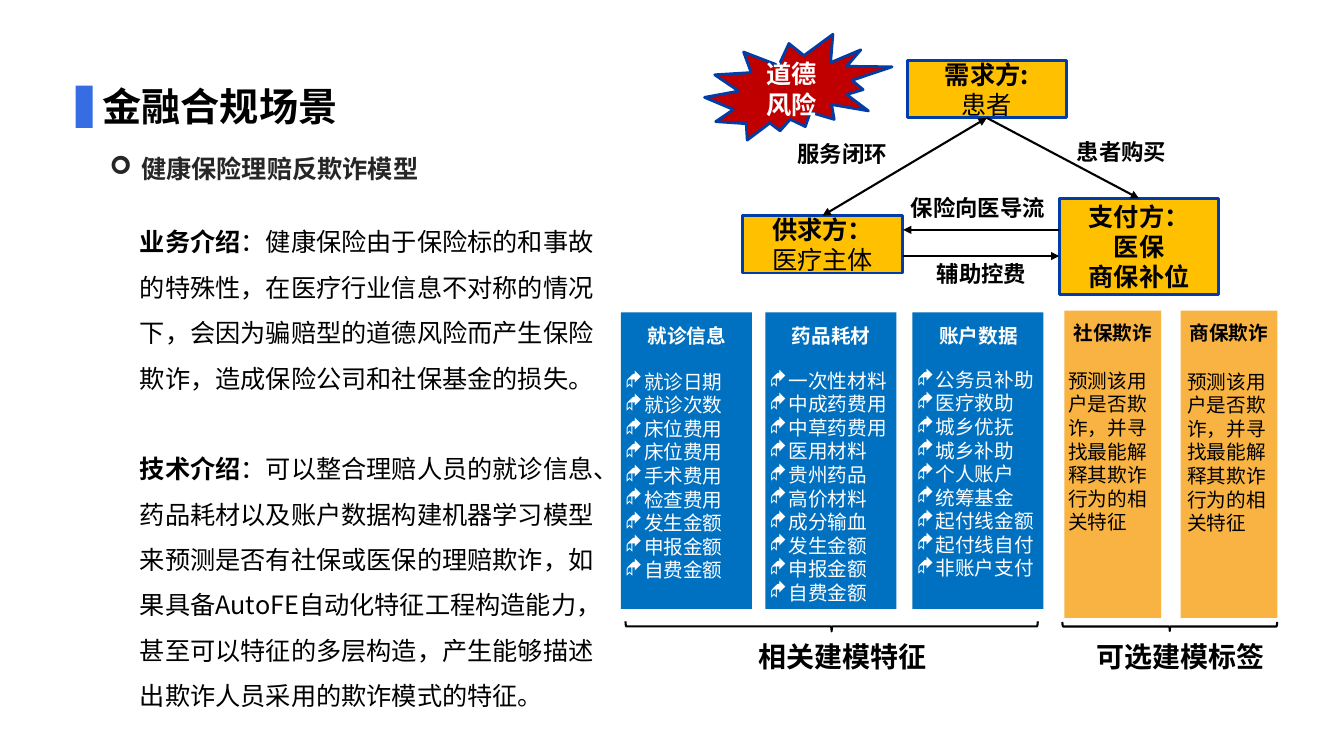
from dataclasses import dataclass
from lxml import etree
from pptx import Presentation
from pptx.dml.color import RGBColor
from pptx.enum.shapes import MSO_CONNECTOR as Connector, MSO_SHAPE as Preset
from pptx.enum.text import MSO_ANCHOR as Anchor, MSO_AUTO_SIZE as AutoSize, PP_ALIGN as Align
from pptx.oxml.ns import qn
from pptx.shapes.autoshape import Shape
from pptx.slide import Slide
from pptx.util import Pt

FONT = "Noto Sans CJK SC"
BLACK = RGBColor(0x00, 0x00, 0x00)
WHITE = RGBColor(0xFF, 0xFF, 0xFF)
CHARCOAL = RGBColor(0x26, 0x26, 0x26)
ACCENT = RGBColor(0x36, 0x6D, 0xE2)
BLUE = RGBColor(0x00, 0x70, 0xC0)
NAVY = RGBColor(0x00, 0x3D, 0xA7)
AMBER = RGBColor(0xFF, 0xC0, 0x00)
ORANGE = RGBColor(0xF8, 0xB3, 0x42)
RED = RGBColor(0xC0, 0x00, 0x00)

Frame = tuple[float, float, float, float]
Span = tuple[str, bool]


@dataclass(frozen=True)
class FeatureCard:
    title: str
    left: float
    list_top: float
    items: tuple[str, ...]


@dataclass(frozen=True)
class LabelCard:
    title: str
    left: float
    body_left: float
    body_top: float


@dataclass(frozen=True)
class Party:
    frame: Frame
    paras: tuple[Span, ...]


@dataclass(frozen=True)
class Arrow:
    start: tuple[float, float]
    end: tuple[float, float]
    double: bool = False


@dataclass(frozen=True)
class Caption:
    text: str
    frame: Frame
    size: float


FEATURE_CARDS = (
    FeatureCard("就诊信息", 443.5, 260.6, (
        "就诊日期", "就诊次数", "床位费用", "床位费用", "手术费用",
        "检查费用", "发生金额", "申报金额", "自费金额")),
    FeatureCard("药品耗材", 546.7, 259.9, (
        "一次性材料", "中成药费用", "中草药费用", "医用材料", "贵州药品",
        "高价材料", "成分输血", "发生金额", "申报金额", "自费金额")),
    FeatureCard("账户数据", 651.8, 259.2, (
        "公务员补助", "医疗救助", "城乡优抚", "城乡补助", "个人账户",
        "统筹基金", "起付线金额", "起付线自付", "非账户支付")),
)
LABEL_CARDS = (
    LabelCard("社保欺诈", 760.3, 756, 259.9),
    LabelCard("商保欺诈", 843.3, 841, 260.6),
)
LABEL_BODY = "预测该用户是否欺诈，并寻找最能解释其欺诈行为的相关特征"
PARTIES = (
    Party((648, 43.2, 113.8, 41), (("需求方:", True), ("患者", False))),
    Party((530.6, 154.1, 113.8, 41), (("供求方：", True), ("医疗主体", False))),
    Party((756.7, 141.8, 113.8, 68.4),
          (("支付方：", True), ("医保", True), ("商保补位", True))),
)
ARROWS = (
    Arrow((704.9, 84.2), (587.5, 154.1), double=True),
    Arrow((756.7, 164.2), (645.1, 164.2)),
    Arrow((645.1, 182.9), (756.7, 182.9)),
    Arrow((704.9, 84.2), (813.6, 141.8)),
)
CAPTIONS = (
    Caption("保险向医导流", (614.2, 135.4, 168.5, 26.6), 16),
    Caption("服务闭环", (519.1, 96.5, 164.9, 26.6), 16),
    Caption("患者购买", (718.6, 95, 164.9, 26.6), 16),
    Caption("辅助控费", (617, 182.2, 168.5, 26.6), 16),
    Caption("相关建模特征", (519.1, 453.6, 164.9, 31.7), 20),
    Caption("可选建模标签", (761, 453.6, 164.9, 31.7), 20),
)
BRACES: tuple[Frame, ...] = ((590.4, 300.2, 7.2, 294.5), (832.3, 370.8, 6.5, 153.4))
INTRO = (
    (("业务介绍", True),
     ("：健康保险由于保险标的和事故的特殊性，在医疗行业信息不对称的情况下，"
      "会因为骗赔型的道德风险而产生保险欺诈，造成保险公司和社保基金的损失。", False)),
    (("技术介绍", True),
     ("：可以整合理赔人员的就诊信息、药品耗材以及账户数据构建机器学习模型来预测"
      "是否有社保或医保的理赔欺诈，如果具备AutoFE自动化特征工程构造能力，"
      "甚至可以特征的多层构造，产生能够描述出欺诈人员采用的欺诈模式的特征。", False)),
)


def write(box: Shape, paras: tuple[tuple[Span, ...], ...], *, size: float,
          color: RGBColor = BLACK, align: Align = Align.LEFT, line: float = 1.0,
          gap: float = 0, bullet: str = "", indent: float = 0) -> None:
    frame = box.text_frame
    frame.word_wrap = True
    for index, spans in enumerate(paras):
        para = frame.add_paragraph() if index else frame.paragraphs[0]
        para.alignment = align
        para.line_spacing = line
        para.space_before = Pt(gap if index else 0)
        if bullet:
            properties = para._p.get_or_add_pPr()
            properties.set("marL", str(Pt(indent)))
            properties.set("indent", str(-Pt(indent)))
            etree.SubElement(properties, qn("a:buFont")).set("typeface", "Wingdings")
            etree.SubElement(properties, qn("a:buChar")).set("char", bullet)
        for text, bold in spans:
            span = para.add_run()
            span.text = text
            span.font.name = FONT
            span.font.size = Pt(size)
            span.font.bold = bold
            span.font.color.rgb = color
            etree.SubElement(span.font._element, qn("a:ea")).set("typeface", FONT)


def add_text(page: Slide, frame: Frame) -> Shape:
    box = page.shapes.add_textbox(*map(Pt, frame))
    box.text_frame.auto_size = AutoSize.NONE
    return box


def add_preset(page: Slide, preset: Preset, frame: Frame, *, fill: RGBColor | None = None,
               outline: RGBColor | None = None, weight: float = 2) -> Shape:
    shape = page.shapes.add_shape(preset, *map(Pt, frame))
    shape.shadow.inherit = False
    if fill is None:
        shape.fill.background()
    else:
        shape.fill.solid()
        shape.fill.fore_color.rgb = fill
    if outline is None:
        shape.line.fill.background()
    else:
        shape.line.color.rgb = outline
        shape.line.width = Pt(weight)
    shape.text_frame.vertical_anchor = Anchor.MIDDLE
    return shape


def add_arrow(page: Slide, arrow: Arrow) -> None:
    link = page.shapes.add_connector(Connector.STRAIGHT, *map(Pt, arrow.start + arrow.end))
    link.line.color.rgb = BLACK
    link.line.width = Pt(1.5)
    for tag in ("a:headEnd", "a:tailEnd") if arrow.double else ("a:tailEnd",):
        etree.SubElement(link.line._ln, qn(tag)).set("type", "triangle")
    etree.SubElement(link._element.spPr, qn("a:effectLst"))


def main() -> None:
    deck = Presentation()
    deck.slide_width, deck.slide_height = Pt(960), Pt(540)
    page = deck.slides.add_slide(deck.slide_layouts[6])

    add_preset(page, Preset.RECTANGLE, (54, 61.2, 12.2, 30.2), fill=ACCENT)
    write(add_text(page, (66.2, 55.5, 285.1, 38.9)), ((("金融合规场景", True),),), size=28)
    write(add_text(page, (71.3, 105.8, 256.3, 28.8)), ((("健康保险理赔反欺诈模型", True),),),
          size=18, color=CHARCOAL, bullet="➢", indent=22.5)
    write(add_text(page, (92.9, 147.6, 346.3, 363.6)), INTRO, size=18, line=1.5, gap=32.4)

    for card in FEATURE_CARDS:
        add_preset(page, Preset.RECTANGLE, (card.left, 223.2, 93.6, 211.7), fill=BLUE)
        write(add_text(page, (card.left - 4, 227.5, 102.2, 24.5)), (((card.title, True),),),
              size=14, color=WHITE, align=Align.CENTER)
        write(add_text(page, (card.left - 4, card.list_top, 102.2, 177.1)),
              tuple(((item, False),) for item in card.items),
              size=14, color=WHITE, bullet="◆", indent=13.5)

    for card in LABEL_CARDS:
        add_preset(page, Preset.RECTANGLE, (card.left, 221.8, 69.1, 219.6), fill=ORANGE)
        write(add_text(page, (card.left - 7.6, 225.4, 84.2, 24.5)), (((card.title, True),),),
              size=14, align=Align.CENTER)
        write(add_text(page, (card.body_left, card.body_top, 77, 126)),
              (((LABEL_BODY, False),),), size=14)

    for frame in BRACES:
        add_preset(page, Preset.RIGHT_BRACE, frame, outline=BLACK, weight=1.5).rotation = 90
    for party in PARTIES:
        box = add_preset(page, Preset.RECTANGLE, party.frame, fill=AMBER, outline=NAVY)
        write(box, tuple((span,) for span in party.paras), size=18, align=Align.CENTER)
    for arrow in ARROWS:
        add_arrow(page, arrow)
    for caption in CAPTIONS:
        write(add_text(page, caption.frame), (((caption.text, True),),),
              size=caption.size, align=Align.CENTER)

    seal = add_preset(page, Preset.EXPLOSION2, (503.3, 24.5, 133.9, 75.6), fill=RED, outline=NAVY)
    write(seal, ((("道德风险", True),),), size=18, color=WHITE, align=Align.CENTER)
    deck.save("out.pptx")


if __name__ == "__main__":
    main()
